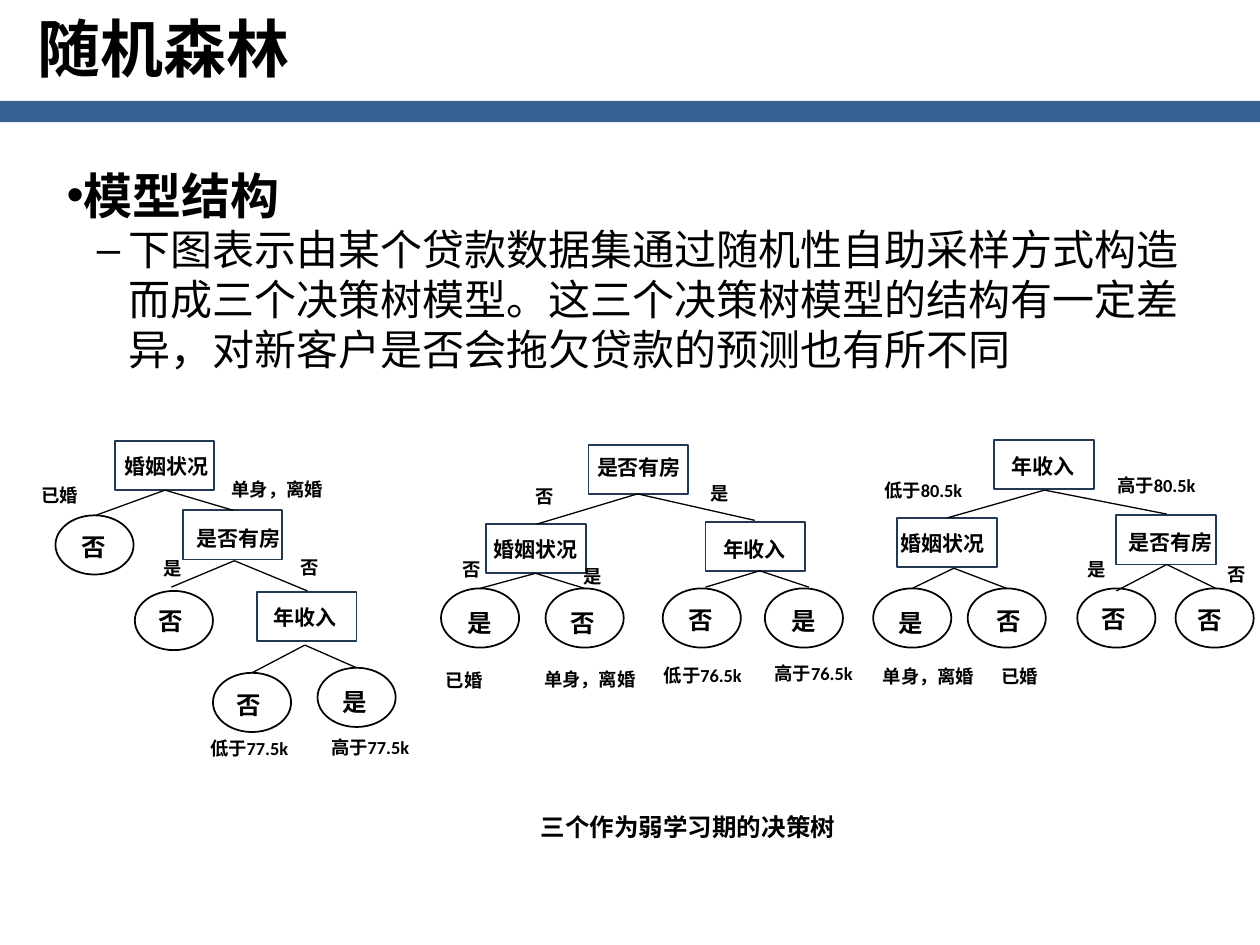
from dataclasses import dataclass
from typing import NamedTuple

from lxml.etree import SubElement as Sub
from pptx import Presentation
from pptx.dml.color import RGBColor as Rgb
from pptx.enum.shapes import MSO_CONNECTOR as Link, MSO_SHAPE as Kind
from pptx.enum.text import MSO_ANCHOR as Anchor, MSO_AUTO_SIZE as Fit, PP_ALIGN as Align
from pptx.oxml.ns import qn
from pptx.util import Inches, Pt


@dataclass(frozen=True)
class Theme:
    ink: Rgb = Rgb(0, 0, 0)
    bar: Rgb = Rgb(0x37, 0x60, 0x92)
    edge: Rgb = Rgb(0x23, 0x39, 0x53)
    han: str = "Noto Sans CJK SC"
    body: str = "Arial"
    label: str = "Calibri"
    title: float = 36
    head: float = 28
    text: float = 24
    leaf: float = 14
    test: float = 12
    tag: float = 10.5
    rim: float = 1
    link: float = 0.75


class Node(NamedTuple):
    text: str
    x: float
    y: float
    tx: float
    ty: float


class Tag(NamedTuple):
    text: str
    x: float
    y: float


class Fork(NamedTuple):
    x: float
    y: float
    left: tuple[float, float]
    right: tuple[float, float]


class Point(NamedTuple):
    text: str
    mark: str
    left: float
    hang: float
    pitch: float
    size: float
    font: str
    bold: bool


LOOK = Theme()
COLS, ROWS = 100, 75
TEST_W, TEST_H = 7.9, 3.9
LEAF_W, LEAF_H = 6.2, 4.7
TAG_W = {1: 4, 2: 5.8, 5: 11.3, 7: 9}

TESTS = [
    Node("婚姻状况", 9.1, 35, 8.9, 35.5),
    Node("是否有房", 14.5, 40.5, 14.6, 41.2),
    Node("年收入", 20.4, 47, 20.7, 47.5),
    Node("是否有房", 46.7, 35.3, 46.4, 35.6),
    Node("婚姻状况", 38.6, 41.6, 38.2, 42.1),
    Node("年收入", 56, 41.4, 56.4, 42.1),
    Node("年收入", 78.9, 34.9, 79.3, 35.5),
    Node("婚姻状况", 71.2, 41.1, 70.5, 41.6),
    Node("是否有房", 88.6, 40.9, 88.6, 41.5),
]
LEAVES = [
    Node("否", 4.4, 40.9, 5.5, 41.7),
    Node("否", 10.7, 46.9, 11.6, 47.6),
    Node("否", 16.9, 53.4, 17.8, 54.2),
    Node("是", 25.2, 53, 26.2, 54),
    Node("是", 35, 46.7, 36.1, 47.7),
    Node("否", 43.3, 46.7, 44.3, 47.7),
    Node("否", 52.6, 46.7, 53.7, 47.5),
    Node("是", 60.7, 46.7, 61.8, 47.6),
    Node("是", 69.3, 46.7, 70.3, 47.7),
    Node("否", 76.8, 46.7, 78.1, 47.6),
    Node("否", 85.5, 46.7, 86.4, 47.4),
    Node("否", 93.3, 46.7, 94.1, 47.5),
]
FORKS = [
    Fork(13.1, 38.9, (7.6, 40.9), (18.5, 40.5)),
    Fork(18.6, 44.5, (13.6, 46.6), (24.4, 46.9)),
    Fork(24.2, 51.2, (20, 53.4), (28.3, 53)),
    Fork(50.6, 39.2, (42.6, 41.6), (59.9, 41.3)),
    Fork(42.5, 45.5, (38.1, 46.7), (46.4, 46.7)),
    Fork(60.3, 45.3, (56, 46.6), (64.2, 46.6)),
    Fork(82.9, 38.9, (75.2, 41.1), (92.6, 40.8)),
    Fork(75.7, 45.1, (72.4, 46.7), (79.9, 46.7)),
    Fork(92.6, 44.8, (88.6, 46.9), (96.5, 46.7)),
]
TAGS = [
    Tag("已婚", 2.3, 37.9), Tag("单身，离婚", 17.4, 37.4),
    Tag("是", 12, 43.7), Tag("否", 22.9, 43.6),
    Tag("低于77.5k", 15.7, 58), Tag("高于77.5k", 25.3, 57.9),
    Tag("否", 41.5, 38), Tag("是", 55.4, 37.7),
    Tag("否", 35.7, 43.8), Tag("是", 45.3, 44.3),
    Tag("已婚", 34.4, 52.6), Tag("单身，离婚", 42.2, 52.5),
    Tag("低于76.5k", 51.7, 52.2), Tag("高于76.5k", 60.5, 52),
    Tag("低于80.5k", 69.2, 37.5), Tag("高于80.5k", 87.7, 37.1),
    Tag("单身，离婚", 69.1, 52.3), Tag("已婚", 78.5, 52.3),
    Tag("是", 85.3, 43.8), Tag("否", 96.4, 44.2),
]
POINTS = [
    Point("模型结构", "•", 0, 0, 36, LOOK.head, LOOK.han, True),
    Point(
        "下图表示由某个贷款数据集通过随机性自助采样方式构造而成三个决策树模型。"
        "这三个决策树模型的结构有一定差异，对新客户是否会拖欠贷款的预测也有所不同",
        "–", 0.49, 0.25, 28.6, LOOK.text, LOOK.body, False,
    ),
]

deck = Presentation()
deck.slide_width, deck.slide_height = Inches(10), Inches(7.5)
page = deck.slides.add_slide(deck.slide_layouts[5])
pool = page.shapes


def col(n: float) -> int:
    return round(deck.slide_width * n / COLS)


def row(n: float) -> int:
    return round(deck.slide_height * n / ROWS)


def box(x: float, y: float, w: float, h: float) -> tuple[int, int, int, int]:
    return col(x), row(y), col(w), row(h)


def add_run(para, text: str, size: float, font: str, bold: bool = True) -> None:
    run = para.add_run()
    run.text = text
    face = run.font
    face.size, face.name, face.bold = Pt(size), font, bold
    face.color.rgb = LOOK.ink
    Sub(face._element, qn("a:ea"), typeface=LOOK.han)


def add_label(text: str, x: float, y: float, w: float, h: float, size: float,
              align: Align = Align.LEFT) -> None:
    frame = pool.add_textbox(*box(x, y, w, h)).text_frame
    frame.word_wrap = True
    frame.vertical_anchor = Anchor.MIDDLE
    frame.margin_right = 0 if align == Align.LEFT else frame.margin_left
    para = frame.paragraphs[0]
    para.alignment = align
    add_run(para, text, size, LOOK.label)


def add_node(node: Node, kind: Kind, w: float, h: float, edge: Rgb) -> None:
    form = pool.add_shape(kind, *box(node.x, node.y, w, h))
    form.shadow.inherit = False
    form.fill.background()
    form.line.color.rgb = edge
    form.line.width = Pt(LOOK.rim)


def add_fork(fork: Fork) -> None:
    for x, y in (fork.left, fork.right):
        link = pool.add_connector(Link.STRAIGHT, col(fork.x), row(fork.y), col(x), row(y))
        link.line.color.rgb = LOOK.ink
        link.line.width = Pt(LOOK.link)
        Sub(link._element.spPr, qn("a:effectLst"))


def add_point(para, point: Point) -> None:
    props = para._p.get_or_add_pPr()
    props.set("marL", str(Inches(point.left)))
    props.set("indent", str(-Inches(point.hang)))
    para.line_spacing = Pt(point.pitch)
    para.space_before = Pt(0)
    Sub(props, qn("a:buFont"), typeface=LOOK.body)
    Sub(props, qn("a:buChar"), char=point.mark)
    add_run(para, point.text, point.size, point.font, point.bold)


def add_title(text: str) -> None:
    head = pool.title
    head.left, head.top, head.width, head.height = box(2, 0.5, 85, 5.5)
    frame = head.text_frame
    frame.auto_size = Fit.NONE
    frame.vertical_anchor = Anchor.MIDDLE
    frame.margin_top, frame.margin_bottom = row(1), 0
    para = frame.paragraphs[0]
    para.alignment = Align.LEFT
    add_run(para, text, LOOK.title, LOOK.han)


def main() -> None:
    bar = pool.add_shape(Kind.RECTANGLE, *box(0, 8, COLS, 1.7))
    bar.shadow.inherit = False
    bar.fill.solid()
    bar.fill.fore_color.rgb = LOOK.bar
    bar.line.fill.background()
    add_title("随机森林")

    frame = pool.add_textbox(*box(4.3, 12.3, 91.3, 57.5)).text_frame
    frame.word_wrap = True
    for i, point in enumerate(POINTS):
        add_point(frame.add_paragraph() if i else frame.paragraphs[0], point)

    for node in TESTS:
        add_node(node, Kind.RECTANGLE, TEST_W, TEST_H, LOOK.edge)
        add_label(node.text, node.tx, node.ty, 9.4, 3, LOOK.test)
    for node in LEAVES:
        add_node(node, Kind.OVAL, LEAF_W, LEAF_H, LOOK.ink)
        add_label(node.text, node.tx, node.ty, 4, 3.4, LOOK.leaf)
    for fork in FORKS:
        add_fork(fork)
    for tag in TAGS:
        add_label(tag.text, tag.x, tag.y, TAG_W[len(tag.text)], 2.8, LOOK.tag)
    add_label("三个作为弱学习期的决策树", 32, 63.9, 45.2, 3.4, LOOK.leaf, Align.CENTER)
    deck.save("out.pptx")


if __name__ == "__main__":
    main()
